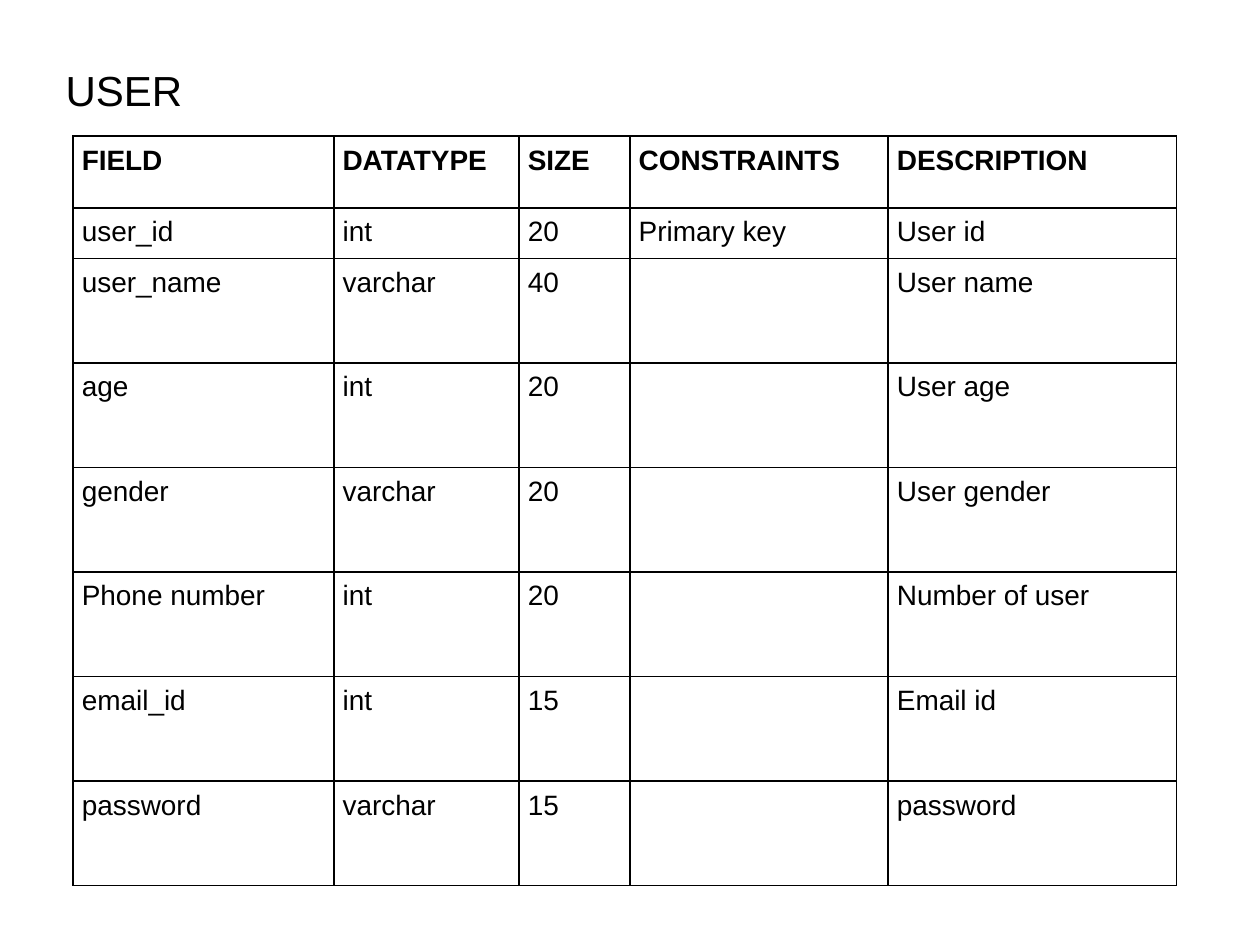
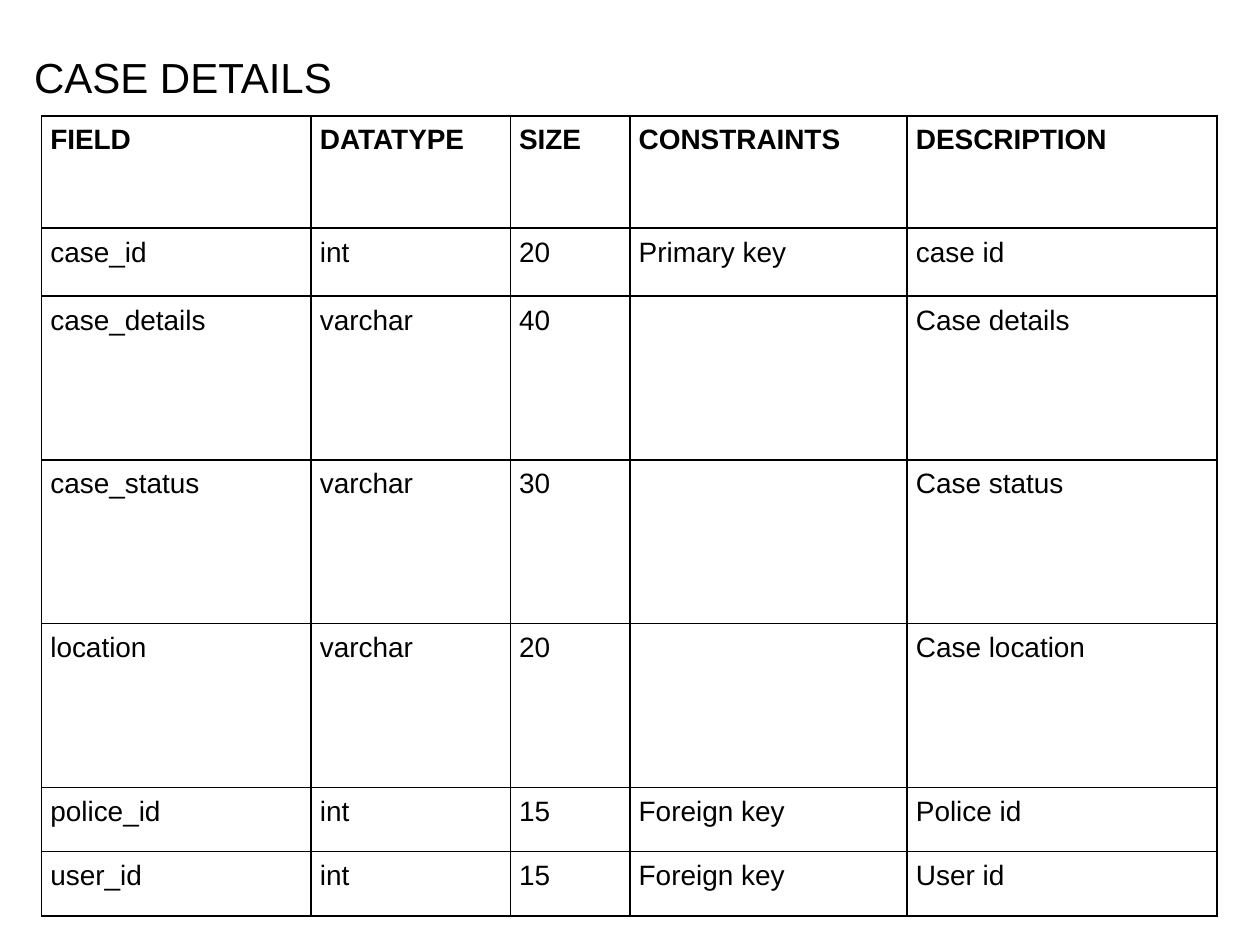
from lxml.etree import SubElement
from pptx import Presentation
from pptx.dml.color import RGBColor
from pptx.enum.text import MSO_ANCHOR as Anchor, MSO_AUTO_SIZE as AutoSize, PP_ALIGN as Align
from pptx.oxml.ns import qn
from pptx.util import Inches, Pt

# Shared style
COLORS = {"text": "000000", "border": "000000"}
FONT = "Arial"
TITLE_ONLY = 5
TITLE_HEIGHT = 0.54
TITLE_FRAME = {"word_wrap": True, "auto_size": AutoSize.NONE, "vertical_anchor": Anchor.MIDDLE}
TITLE_FONT = {"name": FONT, "size": Pt(24), "bold": False}
HEADER_FONT = {"name": FONT, "size": Pt(16), "bold": True}
BODY_FONT = {**HEADER_FONT, "bold": False}
CELL_FORMAT = {f"margin_{side}": Inches(0.07) for side in ("left", "right", "top", "bottom")}
CELL_FORMAT["vertical_anchor"] = Anchor.TOP
TABLE_FLAGS = {"first_row": False, "horz_banding": False}

# Content
HEADER = ("FIELD", "DATATYPE", "SIZE", "CONSTRAINTS", "DESCRIPTION")
USER = {
    "title": "USER",
    "title_box": (0.42, 0.44, 4),
    "table_corner": (0.58, 1.08),
    "columns": (2.07, 1.47, 0.88, 2.05, 2.29),
    "rows": (0.57, 0.4) + (0.83,) * 6,
    "fields": (
        ("user_id", "int", "20", "Primary key", "User id"),
        ("user_name", "varchar", "40", "", "User name"),
        ("age", "int", "20", "", "User age"),
        ("gender", "varchar", "20", "", "User gender"),
        ("Phone number", "int", "20", "", "Number of user"),
        ("email_id", "int", "15", "", "Email id"),
        ("password", "varchar", "15", "", "password"),
    ),
}
CASE_DETAILS = {
    "title": "CASE DETAILS",
    "title_box": (0.17, 0.34, 4.84),
    "table_corner": (0.33, 0.92),
    "columns": (2.14, 1.58, 0.95, 2.2, 2.46),
    "rows": (0.89, 0.54) + (1.3,) * 3 + (0.51,) * 2,
    "fields": (
        ("case_id", "int", "20", "Primary key", "case id"),
        ("case_details", "varchar", "40", "", "Case details"),
        ("case_status", "varchar", "30", "", "Case status"),
        ("location", "varchar", "20", "", "Case location"),
        ("police_id", "int", "15", "Foreign key", "Police id"),
        ("user_id", "int", "15", "Foreign key", "User id"),
    ),
}


def set_attributes(target, values):
    for name, value in values.items():
        setattr(target, name, value)


def write_text(text_frame, text, font_format):
    text_frame.text = text
    paragraph = text_frame.paragraphs[0]
    paragraph.alignment = Align.LEFT
    set_attributes(paragraph.font, font_format)
    for run in paragraph.runs:
        set_attributes(run.font, font_format)
        run.font.color.rgb = RGBColor.from_string(COLORS["text"])


def add_borders(cell):
    properties = cell._tc.get_or_add_tcPr()
    for side in ("lnL", "lnR", "lnT", "lnB"):
        line = SubElement(properties, qn(f"a:{side}"), w=str(Pt(1)))
        fill = SubElement(line, qn("a:solidFill"))
        SubElement(fill, qn("a:srgbClr"), val=COLORS["border"])


def place_title(slide, text, box):
    title = slide.shapes.title
    left, top, width = box
    set_attributes(title, {"left": Inches(left), "top": Inches(top),
                           "width": Inches(width), "height": Inches(TITLE_HEIGHT)})
    set_attributes(title.text_frame, TITLE_FRAME)
    write_text(title.text_frame, text, TITLE_FONT)


def add_field_table(slide, entity):
    columns, rows = entity["columns"], entity["rows"]
    left, top = entity["table_corner"]
    table = slide.shapes.add_table(
        len(rows), len(columns), Inches(left), Inches(top),
        Inches(sum(columns)), Inches(sum(rows))).table
    set_attributes(table, TABLE_FLAGS)
    for column, width in zip(table.columns, columns):
        column.width = Inches(width)
    for index, values in enumerate((HEADER, *entity["fields"])):
        row = table.rows[index]
        row.height = Inches(rows[index])
        for cell, text in zip(row.cells, values):
            set_attributes(cell, CELL_FORMAT)
            write_text(cell.text_frame, text, BODY_FONT if index else HEADER_FONT)
            add_borders(cell)
            cell.fill.background()


def main():
    presentation = Presentation()
    set_attributes(presentation, {"slide_width": Inches(10), "slide_height": Inches(7.5)})
    for entity in (USER, CASE_DETAILS):
        slide = presentation.slides.add_slide(presentation.slide_layouts[TITLE_ONLY])
        place_title(slide, entity["title"], entity["title_box"])
        add_field_table(slide, entity)
    presentation.save("out.pptx")


if __name__ == "__main__":
    main()
